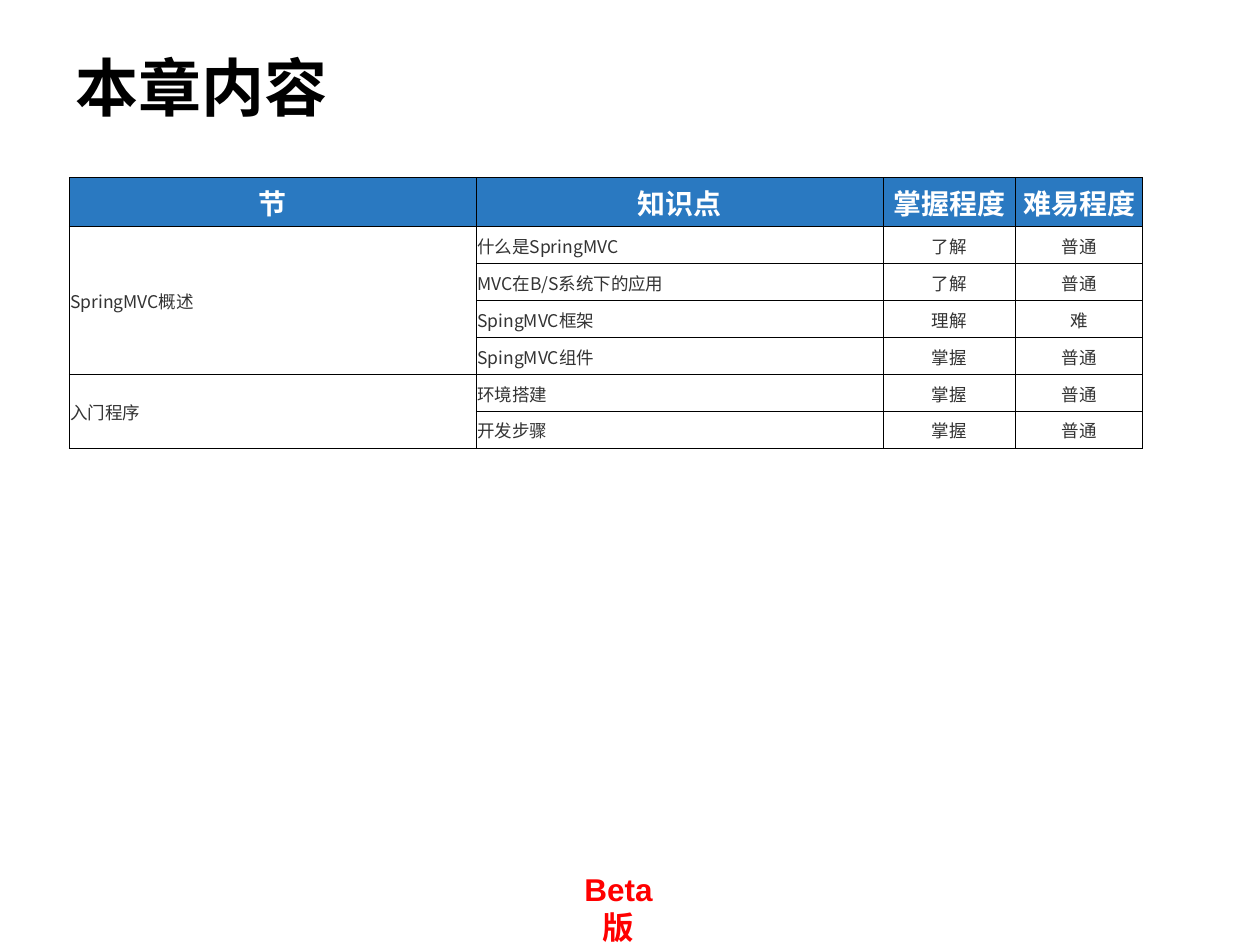
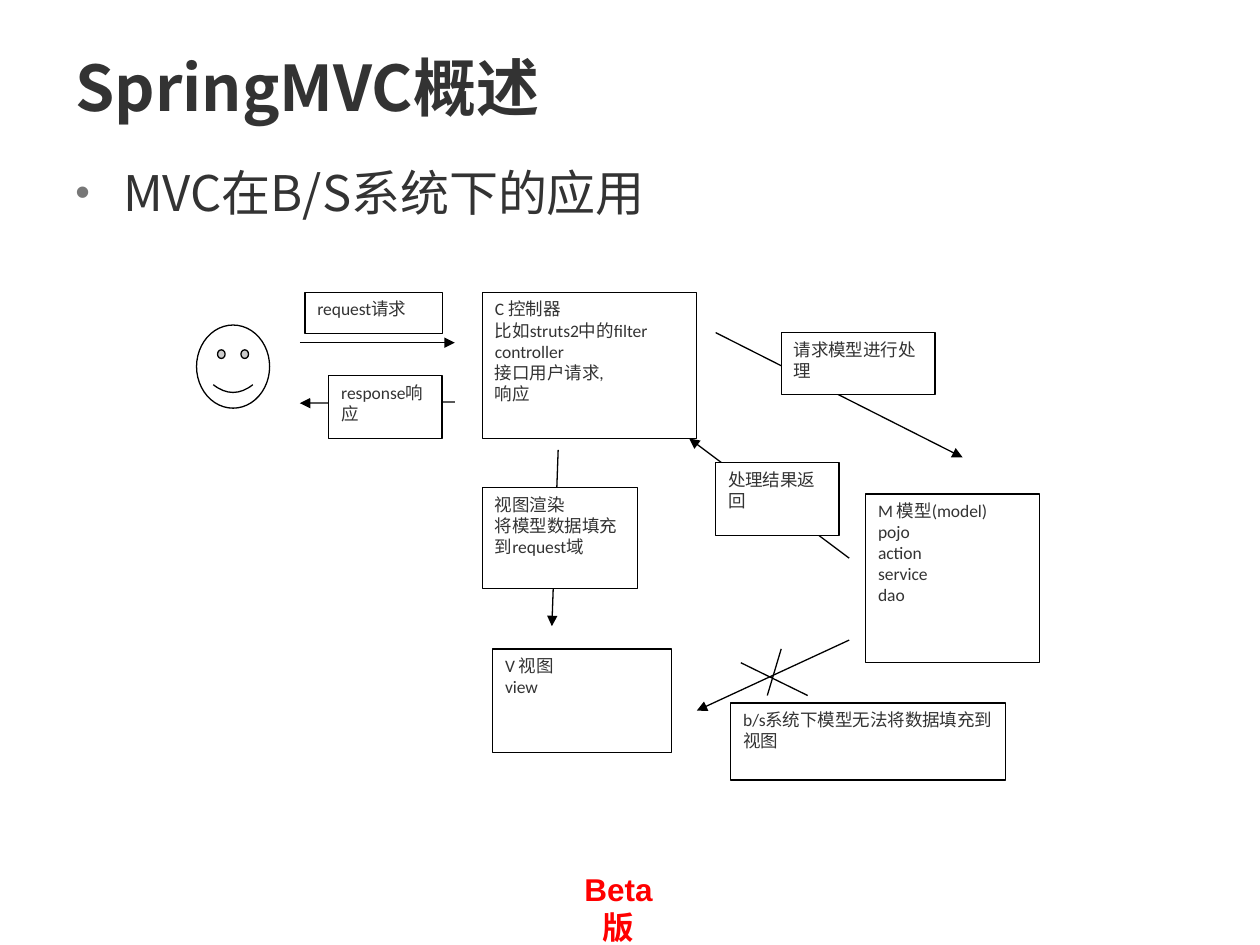
import pptx
import pptx.util
import pptx.dml.color
import pptx.enum.shapes
import pptx.enum.text
import pptx.oxml
import pptx.oxml.ns

COLORS = dict(ink="333333", black="000000", white="FFFFFF", head="2A79C1",
              red="FF0000", bullet="777777")
CJK = "Noto Sans CJK SC"

# Places are (left, top, width, height) in cells: the slide is 100 by 75.
COLS, ROWS = 100, 75
TITLE_AT = (5, 3, 79.7, 7.7)
BODY_AT = (5, 11.5, 89.1, 8.8)
FOOTER_AT = (45.3, 68.6, 10, 4)
TABLE_AT = (5.5, 14.1)
TABLE_COLS = (32.3, 32.3, 10.5, 10.1)
HEAD_ROW, BODY_ROW = 3.9, 2.93

ALIGN = pptx.enum.text.PP_ALIGN
ANCHOR = pptx.enum.text.MSO_ANCHOR
SHAPES = pptx.enum.shapes.MSO_SHAPE

# Format values: size, font, colour, bold
TITLE = dict(size=36, name=CJK, color="ink", bold=True)
BODY = dict(size=28, name=CJK, color="ink", bold=False)
FOOTER = dict(size=18, name="Arial", color="red", bold=True)
HEAD = dict(size=16, name=CJK, color="white", bold=True)
CELL = dict(size=10, name=CJK, color="ink", bold=False)
LEVEL = dict(CELL, name="Times New Roman")
LABEL = dict(CELL, name="Calibri")

HEADINGS = ("节", "知识点", "掌握程度", "难易程度")
SECTIONS = [
    ("SpringMVC概述", [
        ("什么是SpringMVC", "了解", "普通"),
        ("MVC在B/S系统下的应用", "了解", "普通"),
        ("SpingMVC框架", "理解", "难"),
        ("SpingMVC组件", "掌握", "普通"),
    ]),
    ("入门程序", [
        ("环境搭建", "掌握", "普通"),
        ("开发步骤", "掌握", "普通"),
    ]),
]

BOXES = [
    ((38.3, 23.2, 17, 11.6), ["C 控制器", "比如struts2中的filter", "controller",
                              "接口用户请求,".replace(",", ","), "响应"]),
    ((24.2, 23.2, 10.9, 3.3), ["request请求"]),
    ((26.1, 29.8, 9, 5), ["response响应"]),
    ((62, 26.4, 12.2, 4.9), ["请求模型进行处理"]),
    ((56.8, 36.7, 9.8, 5.8), ["处理结果返回"]),
    ((68.7, 39.2, 13.8, 13.4), ["M 模型(model)", "pojo", "action", "service", "dao"]),
    ((38.3, 38.7, 12.3, 8), ["视图渲染", "将模型数据填充到request域"]),
    ((39.1, 51.5, 14.2, 8.2), ["V 视图", "view"]),
    ((58, 55.8, 21.8, 6.1), ["b/s系统下模型无法将数据填充到视图"]),
]
USER_AT = (15.6, 25.8, 5.8, 6.6)
ARROWS = [
    (23.8, 27.2, 36.1, 27.2),   # request
    (36.1, 31.9, 23.8, 32),     # response
    (56.8, 26.4, 76.4, 36.3),   # controller to model
    (67.4, 44.3, 54.7, 34.8),   # model to controller
    (44.3, 35.7, 43.8, 49.7),   # controller to view
    (67.4, 50.8, 55.3, 56.4),   # model to view, not possible
]
CROSS = [(58.8, 52.6, 64.1, 55.2), (62, 51.5, 60.9, 55.2)]

prs = pptx.Presentation()
prs.slide_width = pptx.util.Inches(10)
prs.slide_height = pptx.util.Inches(7.5)


def place(*cells):
    """Turn alternating x and y cell counts into lengths."""
    units = (prs.slide_width / COLS, prs.slide_height / ROWS)
    return [pptx.util.Emu(round(c * units[i % 2])) for i, c in enumerate(cells)]


def rgb(name):
    """Look up a colour by name."""
    return pptx.dml.color.RGBColor.from_string(COLORS[name])


def add_xml(parent, tag, inner="", **attrs):
    """Append one drawing element to parent."""
    text = "".join(f' {k}="{v}"' for k, v in attrs.items())
    ns = pptx.oxml.ns.nsdecls("a")
    parent.append(pptx.oxml.parse_xml(f"<a:{tag} {ns}{text}>{inner}</a:{tag}>"))


def color_xml(name):
    """Give the XML of a colour."""
    return f'<a:srgbClr val="{COLORS[name]}"/>'


def write(tf, lines, fmt, align=ALIGN.LEFT):
    """Write one paragraph per line in the given format."""
    for i, line in enumerate(lines):
        p = tf.paragraphs[0] if i == 0 else tf.add_paragraph()
        p.alignment = align
        r = p.add_run()
        r.text = line
        for key in ("name", "bold"):
            setattr(r.font, key, fmt[key])
        r.font.size = pptx.util.Pt(fmt["size"])
        r.font.color.rgb = rgb(fmt["color"])
        add_xml(r.font._element, "ea", typeface=CJK)


def add_text(s, at, text, fmt, align=ALIGN.LEFT, **frame):
    """Add a wrapping text box; frame holds text frame settings."""
    tf = s.shapes.add_textbox(*place(*at)).text_frame
    for key, value in dict(frame, word_wrap=True).items():
        setattr(tf, key, value)
    write(tf, [text], fmt, align)
    return tf


def add_slide(title, color):
    """Add a blank slide with the shared title and footer."""
    s = prs.slides.add_slide(prs.slide_layouts[6])
    add_text(s, FOOTER_AT, "Beta版", FOOTER, ALIGN.CENTER,
             margin_right=pptx.util.Inches(0.34))
    add_text(s, TITLE_AT, title, dict(TITLE, color=color),
             vertical_anchor=ANCHOR.MIDDLE)
    return s


def fill_cell(cell, text, fmt, align, fill="white"):
    """Set the borders, fill and text of a table cell."""
    tc_pr = cell._tc.get_or_add_tcPr()
    for side in "LRTB":
        add_xml(tc_pr, "ln" + side, f"<a:solidFill>{color_xml('black')}</a:solidFill>",
                w=pptx.util.Pt(0.5))
    cell.fill.solid()
    cell.fill.fore_color.rgb = rgb(fill)
    edge = pptx.util.Inches(0.01)
    for key, value in dict(margin_left=edge, margin_right=edge, margin_top=edge,
                           margin_bottom=0, vertical_anchor=ANCHOR.MIDDLE).items():
        setattr(cell, key, value)
    if text:
        write(cell.text_frame, [text], fmt, align)


def add_contents(s):
    """Add the table of sections, topics and levels."""
    heights = [HEAD_ROW] + [BODY_ROW for _, topics in SECTIONS for _ in topics]
    size = (sum(TABLE_COLS), sum(heights))
    table = s.shapes.add_table(len(heights), len(TABLE_COLS),
                               *place(*TABLE_AT, *size)).table
    table.first_row = table.horz_banding = False
    for col, width in zip(table.columns, TABLE_COLS):
        col.width = place(width)[0]
    for row, height in zip(table.rows, heights):
        row.height = place(0, height)[1]
    for c, text in enumerate(HEADINGS):
        fill_cell(table.cell(0, c), text, HEAD, ALIGN.CENTER, "head")
    top = 1
    for section, topics in SECTIONS:
        for i, topic in enumerate(topics):
            row = ("" if i else section,) + topic
            for c, text in enumerate(row):
                fmt, align = (CELL, ALIGN.LEFT) if c < 2 else (LEVEL, ALIGN.CENTER)
                fill_cell(table.cell(top + i, c), text, fmt, align)
        table.cell(top, 0).merge(table.cell(top + len(topics) - 1, 0))
        top += len(topics)


def add_bullet(s, text):
    """Add the bulleted body line."""
    p = add_text(s, BODY_AT, text, BODY).paragraphs[0]
    p.line_spacing = 1.2
    p_pr = p._p.get_or_add_pPr()
    indent = pptx.util.Inches(0.38)
    p_pr.set("marL", str(indent))
    p_pr.set("indent", str(-indent))
    add_xml(p_pr, "buClr", color_xml("bullet"))
    add_xml(p_pr, "buSzPct", val=85000)
    add_xml(p_pr, "buFont", typeface="Arial")
    add_xml(p_pr, "buChar", char="•")


def outline(sp):
    """Give a shape or connector the thin black line."""
    sp.line.color.rgb = rgb("black")
    sp.line.width = pptx.util.Pt(0.75)


def add_line(s, ends, arrow):
    """Add a straight line, with an arrowhead at its end if asked."""
    sp = s.shapes.add_connector(pptx.enum.shapes.MSO_CONNECTOR.STRAIGHT, *place(*ends))
    outline(sp)
    if arrow:
        add_xml(sp.line._get_or_add_ln(), "tailEnd", type="triangle")
    add_xml(sp._element.spPr, "effectLst")


def add_node(s, kind, at, lines=()):
    """Add a white outlined shape with its text."""
    sp = s.shapes.add_shape(kind, *place(*at))
    sp.shadow.inherit = False
    sp.fill.solid()
    sp.fill.fore_color.rgb = rgb("white")
    outline(sp)
    tf = sp.text_frame
    tf.word_wrap = True
    tf.vertical_anchor = ANCHOR.TOP
    write(tf, lines, LABEL)


def add_flow(s):
    """Add the diagram: lines below, boxes above."""
    for lines, arrow in ((ARROWS, True), (CROSS, False)):
        for ends in lines:
            add_line(s, ends, arrow)
    add_node(s, SHAPES.SMILEY_FACE, USER_AT)
    for at, lines in BOXES:
        add_node(s, SHAPES.RECTANGLE, at, lines)


add_contents(add_slide("本章内容", "black"))

s = add_slide("SpringMVC概述", "ink")
add_bullet(s, "MVC在B/S系统下的应用")
add_flow(s)

prs.save("out.pptx")
